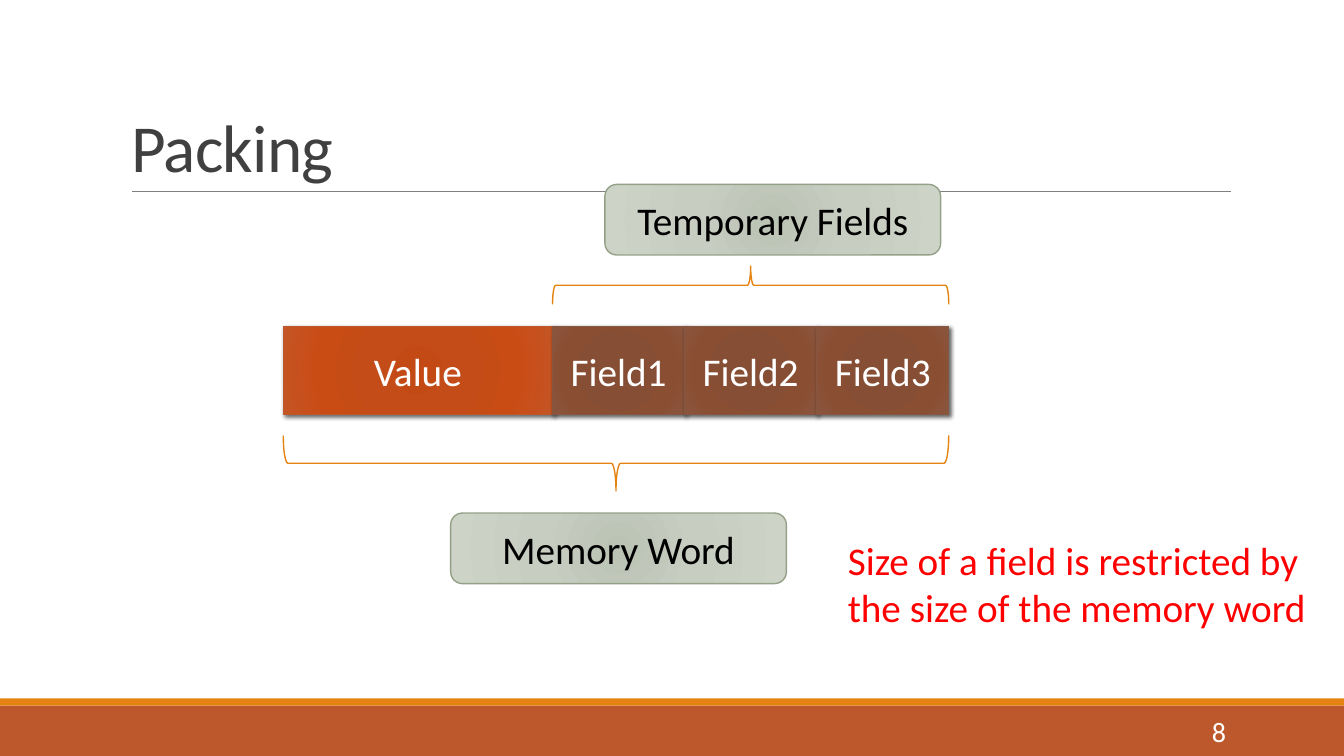
from pptx import Presentation
from pptx.dml.color import RGBColor
from pptx.enum.shapes import MSO_CONNECTOR, MSO_SHAPE
from pptx.enum.text import MSO_ANCHOR, MSO_AUTO_SIZE, PP_ALIGN
from pptx.oxml import parse_xml
from pptx.oxml.ns import nsdecls, qn
from pptx.util import Inches, Pt

RECT, ROUND, BRACE = MSO_SHAPE.RECTANGLE, MSO_SHAPE.ROUNDED_RECTANGLE, MSO_SHAPE.LEFT_BRACE
CENTER, LEFT, RIGHT = PP_ALIGN.CENTER, PP_ALIGN.LEFT, PP_ALIGN.RIGHT
TOP, MIDDLE, BOTTOM = MSO_ANCHOR.TOP, MSO_ANCHOR.MIDDLE, MSO_ANCHOR.BOTTOM
FONT = "Calibri"
COLORS = {
    "title": "404040", "rule": "808080", "footer": "BD582C", "accent": "E48312",
    "value_line": "BD582C", "field_line": "865640", "label_line": "94A088",
    "white": "FFFFFF", "black": "000000", "note": "FF0000",
}
# Gradient stops: position in percent, colour
GRADIENTS = {
    "value": [(0, "C44A15"), (34, "C34C18"), (70, "C94C15"), (100, "C45525")],
    "field": [(0, "874C32"), (34, "864E34"), (70, "8A4E33"), (100, "8A553D")],
    "label": [(0, "BBC3B5"), (45, "C7CDC1"), (100, "CDD4C7")],
}


def rgb(name):
    return RGBColor.from_string(COLORS[name])


def write(tf, lines, size, color, align=LEFT, anchor=TOP):
    tf.vertical_anchor = anchor
    for i, line in enumerate(lines):
        p = tf.add_paragraph() if i else tf.paragraphs[0]
        p.alignment = align
        r = p.add_run()
        r.text = line
        r.font.name, r.font.size = FONT, Pt(size)
        r.font.color.rgb = rgb(color)


def add_shape(slide, kind, x, y, w, h, line=None):
    sp = slide.shapes.add_shape(kind, Inches(x), Inches(y), Inches(w), Inches(h))
    sp.shadow.inherit = False
    sp.fill.background()
    if line:
        sp.line.color.rgb = rgb(line)
        sp.line.width = Pt(1)
    else:
        sp.line.fill.background()
    return sp


def add_bar(slide, y, h, color):
    sp = add_shape(slide, RECT, 0, y, 13.33, h)
    sp.fill.solid()
    sp.fill.fore_color.rgb = rgb(color)


def add_box(slide, kind, x, y, w, h, text, style, color):
    sp = add_shape(slide, kind, x, y, w, h, style + "_line")
    stops = "".join(f'<a:gs pos="{pos * 1000}"><a:srgbClr val="{c}"/></a:gs>'
                    for pos, c in GRADIENTS[style])
    gradient = parse_xml(
        f'<a:gradFill {nsdecls("a")} rotWithShape="1"><a:gsLst>{stops}</a:gsLst>'
        '<a:path path="circle"><a:fillToRect l="100000" t="100000" r="100000" b="100000"/>'
        '</a:path></a:gradFill>')
    spPr = sp._element.spPr
    spPr.replace(spPr.find(qn("a:noFill")), gradient)
    write(sp.text_frame, [text], 28, color, CENTER, MIDDLE)
    return sp


def add_cell(slide, x, w, text, style):
    sp = add_box(slide, RECT, x, 3.24, w, 0.87, text, style, "white")
    sp._element.spPr.find(qn("a:effectLst")).append(parse_xml(
        f'<a:outerShdw {nsdecls("a")} blurRad="{Pt(3)}" dist="{Pt(2)}" dir="2700000" '
        'algn="tl" rotWithShape="0"><a:srgbClr val="000000"><a:alpha val="60000"/>'
        '</a:srgbClr></a:outerShdw>'))


def add_brace(slide, x, y, w, h, rotation):
    """Place a brace turned on its side so that it covers x, y, w, h."""
    sp = add_shape(slide, BRACE, x + (w - h) / 2, y + (h - w) / 2, h, w, "accent")
    sp.rotation = rotation


def add_text(slide, x, y, w, h, lines, size, color, align=LEFT, anchor=TOP, wrap=True):
    tf = slide.shapes.add_textbox(Inches(x), Inches(y), Inches(w), Inches(h)).text_frame
    tf.word_wrap = wrap
    write(tf, lines, size, color, align, anchor)
    return tf


def add_title(slide, text):
    title = slide.shapes.title
    title.left, title.top = Inches(1.2), Inches(0.31)
    title.width, title.height = Inches(11), Inches(1.59)
    tf = title.text_frame
    tf.auto_size = MSO_AUTO_SIZE.NONE
    write(tf, [text], 48, "title", LEFT, BOTTOM)
    p = tf.paragraphs[0]
    p.line_spacing = 0.85
    p.runs[0].font._element.set("spc", "-50")


def add_rule(slide, x1, x2, y):
    line = slide.shapes.add_connector(
        MSO_CONNECTOR.STRAIGHT, Inches(x1), Inches(y), Inches(x2), Inches(y))
    line.line.color.rgb = rgb("rule")
    line.line.width = Pt(0.5)
    line._element.spPr.append(parse_xml(f'<a:effectLst {nsdecls("a")}/>'))


def main():
    prs = Presentation()
    prs.slide_width, prs.slide_height = Inches(13.33), Inches(7.5)
    slide = prs.slides.add_slide(prs.slide_layouts[5])

    # Frame: footer bars, title and rule
    add_bar(slide, 7, 0.5, "footer")
    add_bar(slide, 6.93, 0.07, "accent")
    add_rule(slide, 1.31, 12.21, 1.9)
    add_title(slide, "Packing")

    # Memory word: the value, then equal fields
    word_x, value_w, field_w, field_count = 2.81, 2.67, 1.31, 3
    fields_x, fields_w = word_x + value_w, field_w * field_count
    add_cell(slide, word_x, value_w, "Value", "value")
    for i in range(field_count):
        add_cell(slide, fields_x + i * field_w, field_w, f"Field{i + 1}", "field")

    # Braces and their labels
    add_brace(slide, word_x, 4.32, value_w + fields_w, 0.55, 270)
    add_brace(slide, fields_x, 2.64, fields_w, 0.38, 90)
    for x, y, text in [(4.47, 5.09, "Memory Word"), (6, 1.83, "Temporary Fields")]:
        add_box(slide, ROUND, x, y, 3.33, 0.7, text, "label", "black")

    # Note and slide number
    note = add_text(slide, 8.31, 5.27, 4.79, 1.04,
                    ["Size of a field is restricted by", "the size of the memory word"],
                    28, "note", wrap=False)
    note.auto_size = MSO_AUTO_SIZE.SHAPE_TO_FIT_TEXT
    add_text(slide, 10.83, 7.06, 1.43, 0.4, ["8"], 20, "white", RIGHT, MIDDLE)

    prs.save("out.pptx")


if __name__ == "__main__":
    main()
